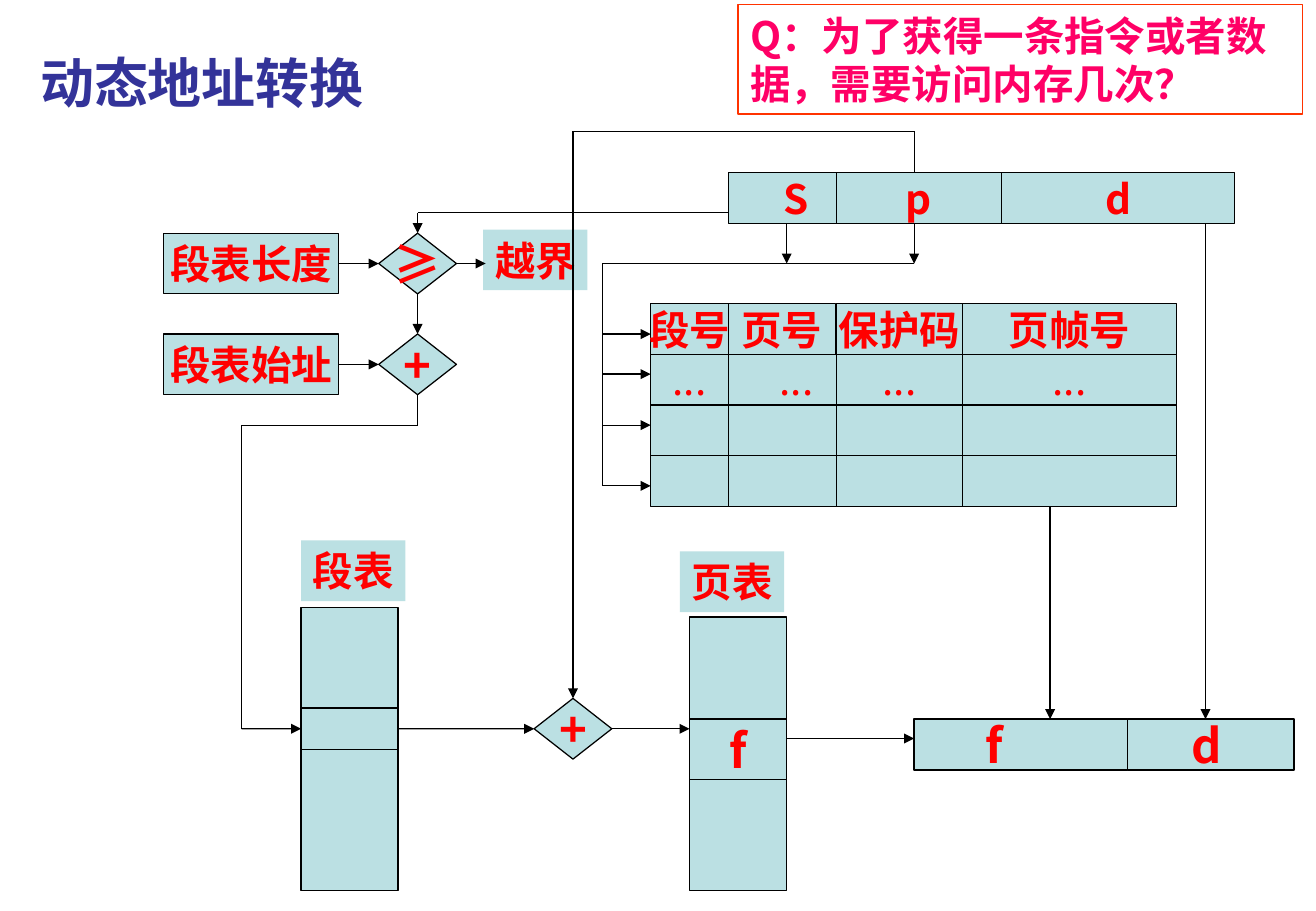
from lxml import etree
from pptx import Presentation
from pptx import util as u
from pptx.dml.color import RGBColor
from pptx.enum import shapes, text
from pptx.oxml.ns import qn

FONT = "Noto Sans CJK SC"
COLORS = {"title": "333399", "fill": "BBE0E3", "line": "000000",
          "label": "FF0000", "question": "FF0066", "frame": "FF3300"}
TITLE = "动态地址转换"
QUESTION = "Q：为了获得一条指令或者数据，需要访问内存几次？"

PAGE_ROWS = [["段号", "页号", "保护码", "页帧号"], ["..."] * 4, [""] * 4, [""] * 4]
PAGE_LEFTS = [5.36, 6, 6.89, 7.93]
PAGE_HEADER_WIDTHS = [0.64, 0.88, 1.04, 1.76]
PAGE_BODY_WIDTHS = [0.64, 1.12, 1.04, 1.76]
PAGE_TOP, PAGE_HEIGHT = 2.5, 1.67

ADDRESS_FIELDS = [("S", 6, 1.12), ("p", 6.89, 1.36), ("d", 8.25, 1.92)]
REGISTERS = [("段表长度", 1.92), ("段表始址", 2.75)]
DECISIONS = [("≥", 3.12, 1.92), ("+", 3.12, 2.75), ("+", 4.4, 5.75)]
STACKS = [(2.48, [5, 5.83, 6.17, 7.33], ["", "", ""]),
          (5.68, [5.08, 5.92, 6.42, 7.33], ["", "f", ""])]
RESULT_FIELDS = [("f", 7.53, 1.76, 0.54), ("d", 9.29, 1.37, 0.17)]
CAPTIONS = [("越界", 3.98, 1.89), ("段表", 2.48, 4.45), ("页表", 5.6, 4.54)]

RAIL_X = 4.96
ARROWS = [
    [(6, 1.75), (3.44, 1.75), (3.44, 1.92)],
    [(2.79, 2.17), (3.12, 2.17)],
    [(3.76, 2.17), (4, 2.17)],
    [(2.79, 3), (3.12, 3)],
    [(3.44, 2.42), (3.44, 2.75)],
    [(3.44, 3.25), (3.44, 3.5), (1.99, 3.5), (1.99, 6), (2.48, 6)],
    [(7.53, 1.42), (7.53, 1.08), (4.72, 1.08), (4.72, 5.75)],
    [(3.28, 6), (4.4, 6)],
    [(5.04, 6), (5.68, 6)],
    [(6.48, 6.08), (7.53, 6.08)],
    [(9.93, 1.84), (9.93, 5.92)],
    [(8.65, 4.17), (8.65, 5.92)],
    [(6.48, 1.84), (6.48, 2.17)],
    [(7.53, 1.84), (7.53, 2.17)],
    [(7.53, 2.17), (RAIL_X, 2.17), (RAIL_X, 4), (5.36, 4)],
] + [[(RAIL_X, y), (5.36, y)] for y in (2.75, 3.08, 3.5)]

presentation = Presentation()
presentation.slide_width = u.Inches(10.84)
presentation.slide_height = u.Inches(7.5)
slide = presentation.slides.add_slide(presentation.slide_layouts[5])
joints = []


def write(shape, words, size, color, bold=True, align=text.PP_ALIGN.CENTER,
          anchor=text.MSO_ANCHOR.MIDDLE, wrap=False):
    frame = shape.text_frame
    frame.text = words
    frame.word_wrap = wrap
    frame.auto_size = text.MSO_AUTO_SIZE.NONE
    frame.vertical_anchor = anchor
    paragraph = frame.paragraphs[0]
    paragraph.alignment = align
    for run in paragraph.runs:
        run.font.size = u.Pt(size)
        run.font.bold = bold
        run.font.color.rgb = RGBColor.from_string(COLORS[color])
        run.font.name = FONT
        latin = run.font._element.find(qn("a:latin"))
        east_asian = etree.Element(qn("a:ea"), typeface=FONT)
        latin.addnext(east_asian)


def add_box(left, top, width, height, fill="fill", line="line",
            kind=shapes.MSO_SHAPE.RECTANGLE):
    shape = slide.shapes.add_shape(kind, *map(u.Inches, (left, top, width, height)))
    shape.shadow.inherit = False
    if fill:
        shape.fill.solid()
        shape.fill.fore_color.rgb = RGBColor.from_string(COLORS[fill])
    else:
        shape.fill.background()
    if line:
        shape.line.color.rgb = RGBColor.from_string(COLORS[line])
        shape.line.width = u.Pt(0.75)
    else:
        shape.line.fill.background()
    middle_x, middle_y = left + width / 2, top + height / 2
    sides = [(middle_x, top), (left, middle_y), (middle_x, top + height), (left + width, middle_y)]
    joints.extend((shape, site, x, y) for site, (x, y) in enumerate(sides))
    return shape


def join(connect, point):
    for shape, site, x, y in joints:
        if max(abs(x - point[0]), abs(y - point[1])) < 0.012:
            connect(shape, site)
            return


def add_segment(start, end, arrow):
    connector = slide.shapes.add_connector(
        shapes.MSO_CONNECTOR.STRAIGHT, *map(u.Inches, (*start, *end)))
    connector.line.color.rgb = RGBColor.from_string(COLORS["line"])
    connector.line.width = u.Pt(0.75)
    if arrow:
        etree.SubElement(connector.line._get_or_add_ln(), qn("a:tailEnd"), type="triangle")
    etree.SubElement(connector._element.spPr, qn("a:effectLst"))
    join(connector.begin_connect, start)
    join(connector.end_connect, end)


title = slide.shapes.title
title.left, title.top, title.width, title.height = map(u.Inches, (0.23, 0.36, 3.75, 0.64))
write(title, TITLE, 32, "title", align=text.PP_ALIGN.LEFT, anchor=text.MSO_ANCHOR.TOP, wrap=True)

row_height = PAGE_HEIGHT / len(PAGE_ROWS)
for row, labels in enumerate(PAGE_ROWS):
    widths = PAGE_BODY_WIDTHS if row else PAGE_HEADER_WIDTHS
    for label, left, width in zip(labels, PAGE_LEFTS, widths):
        cell = add_box(left, PAGE_TOP + row * row_height, width, row_height)
        write(cell, label, 24, "label", bold=row == 0)

for label, left, width in ADDRESS_FIELDS:
    write(add_box(left, 1.42, width, 0.42), label, 24, "label")

for label, top in REGISTERS:
    write(add_box(1.35, top, 1.44, 0.5), label, 24, "label")

for label, left, top in DECISIONS:
    diamond = add_box(left, top, 0.64, 0.5, kind=shapes.MSO_SHAPE.DIAMOND)
    write(diamond, label, 28, "label")

for left, edges, labels in STACKS:
    for label, top, bottom in zip(labels, edges, edges[1:]):
        write(add_box(left, top, 0.8, bottom - top), label, 28, "label")

for label, left, width, right_inset in RESULT_FIELDS:
    field = add_box(left, 5.92, width, 0.42)
    write(field, label, 28, "label")
    field.text_frame.margin_right = u.Inches(right_inset)

for label, left, top in CAPTIONS:
    caption = add_box(left, top, 0.86, 0.5, line=None)
    write(caption, label, 24, "label", align=text.PP_ALIGN.LEFT, anchor=text.MSO_ANCHOR.TOP)

for points in ARROWS:
    for start, end in zip(points, points[1:]):
        add_segment(start, end, arrow=end == points[-1])

question = add_box(6.08, 0.04, 4.65, 0.9, fill=None, line="frame")
write(question, QUESTION, 24, "question", align=text.PP_ALIGN.LEFT,
      anchor=text.MSO_ANCHOR.TOP, wrap=True)

presentation.save("out.pptx")
